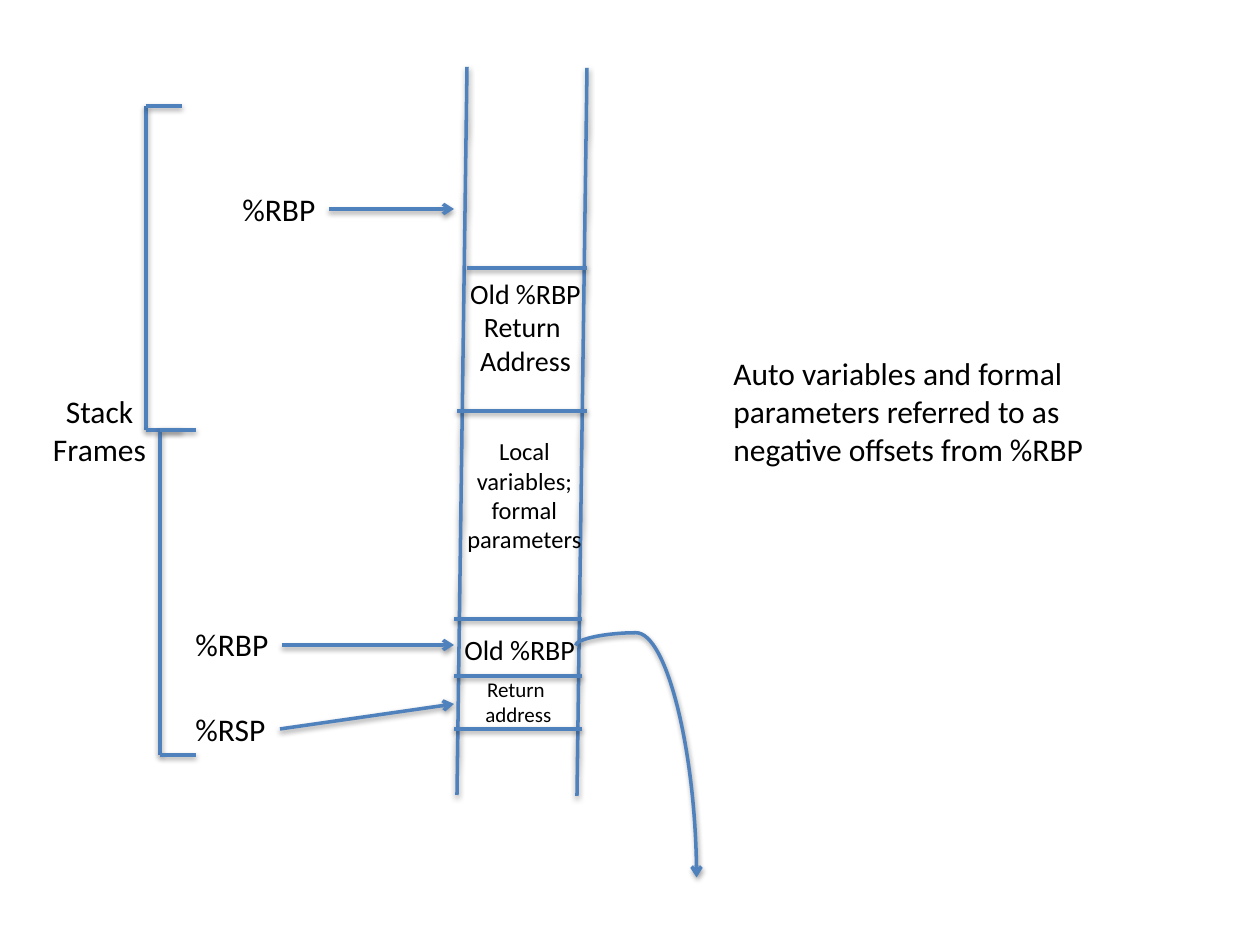
from lxml import etree
from pptx import Presentation
from pptx.dml.color import RGBColor
from pptx.enum import shapes, text
from pptx.oxml import ns
from pptx.util import Emu, Pt

SCALE = 914400 // 126
BLUE, BLACK = "4F81BD", "000000"
CENTER, LEFT = text.PP_ALIGN.CENTER, text.PP_ALIGN.LEFT


def px(n):
    """Turn picture pixels into EMU."""
    return Emu(round(n * 914400 / 126))


def rgb(value):
    """Turn a hex string into a colour."""
    return RGBColor.from_string(value)


def add(parent, tag, **attrs):
    """Append a DrawingML element and return it."""
    return etree.SubElement(parent, ns.qn(tag), attrs)


def connector(s, x1, y1, x2, y2, arrow=False, kind=shapes.MSO_CONNECTOR.STRAIGHT):
    """Draw a blue connector with a soft shadow."""
    sp = s.shapes.add_connector(kind, px(x1), px(y1), px(x2), px(y2))
    sp.line.color.rgb = rgb(BLUE)
    sp.line.width = Pt(2)
    if arrow:
        add(sp.line._get_or_add_ln(), "a:tailEnd", type="arrow")
    effects = add(sp._element.spPr, "a:effectLst")
    shadow = add(effects, "a:outerShdw", blurRad=str(Pt(3.1)), dist=str(Pt(1.6)),
                 dir="5400000", rotWithShape="0")
    color = add(shadow, "a:srgbClr", val=BLACK)
    add(color, "a:alpha", val="38000")
    return sp


def curved_arrow(s, x, y, w, h):
    """Draw the curved arrow, turned so that it runs downwards."""
    sp = connector(s, x + w, y, x, y + h, True, shapes.MSO_CONNECTOR.CURVE)
    sp_pr = sp._element.spPr
    sp_pr.find(ns.qn("a:xfrm")).set("rot", "16200000")
    geom = sp_pr.find(ns.qn("a:prstGeom"))
    for guides in geom.findall(ns.qn("a:avLst")):
        geom.remove(guides)
    add(add(geom, "a:avLst"), "a:gd", name="adj1", fmla="val -5500")


def bracket(s, x, top, bottom, tick):
    """Draw a square bracket that opens to the right."""
    connector(s, x, top, x, bottom)
    for y in (top, bottom):
        connector(s, x, y, x + tick, y)


def label(s, lines, x, y, w, h, size, align=LEFT, wrap=False):
    """Place a text box with one paragraph per line."""
    tf = s.shapes.add_textbox(px(x), px(y), px(w), px(h)).text_frame
    tf.word_wrap = wrap
    tf.auto_size = text.MSO_AUTO_SIZE.SHAPE_TO_FIT_TEXT
    for i, line in enumerate(lines):
        p = tf.add_paragraph() if i else tf.paragraphs[0]
        p.alignment = align
        r = p.add_run()
        r.text = line
        r.font.name = "Calibri"
        r.font.size = Pt(size)
        r.font.color.rgb = rgb(BLACK)


def main():
    """Build the stack frame slide."""
    prs = Presentation()
    prs.slide_width, prs.slide_height = px(1260), px(945)
    s = prs.slides.add_slide(prs.slide_layouts[6])

    for x, top in ((467, 67), (587, 68)):
        connector(s, x, top, x - 10, top + 728)
    for left, right, y in ((467, 587, 268), (457, 587, 411), (454, 582, 619),
                           (454, 582, 676), (454, 582, 729)):
        connector(s, left, y, right, y)
    for x, top, bottom in ((146, 106, 430), (160, 430, 755)):
        bracket(s, x, top, bottom, 36)
    for x, y, tip in ((329, 209, 209), (282, 645, 645), (280, 729, 704)):
        connector(s, x, y, 454, tip, True)
    curved_arrow(s, 520, 701, 232, 121)

    for name, x, y, w in (("%RBP", 230, 184, 100), ("%RBP", 183, 619, 100),
                          ("%RSP", 183, 704, 97)):
        label(s, [name], x, y, w, 50, 18)
    label(s, ["Stack", "Frames"], 39, 386, 121, 89, 18, CENTER)
    label(s, ["Old %RBP", "Return ", "Address"], 457, 270, 137, 115, 16, CENTER)
    label(s, ["Local variables; formal parameters"], 454, 430, 141, 131, 14, CENTER, True)
    label(s, ["Old %RBP"], 452, 626, 137, 47, 16)
    label(s, ["Return", " address"], 467, 670, 98, 63, 12, CENTER)
    label(s, ["Auto variables and formal parameters referred to as negative offsets from %RBP"],
          721, 348, 408, 127, 18, LEFT, True)
    prs.save("out.pptx")


main()
